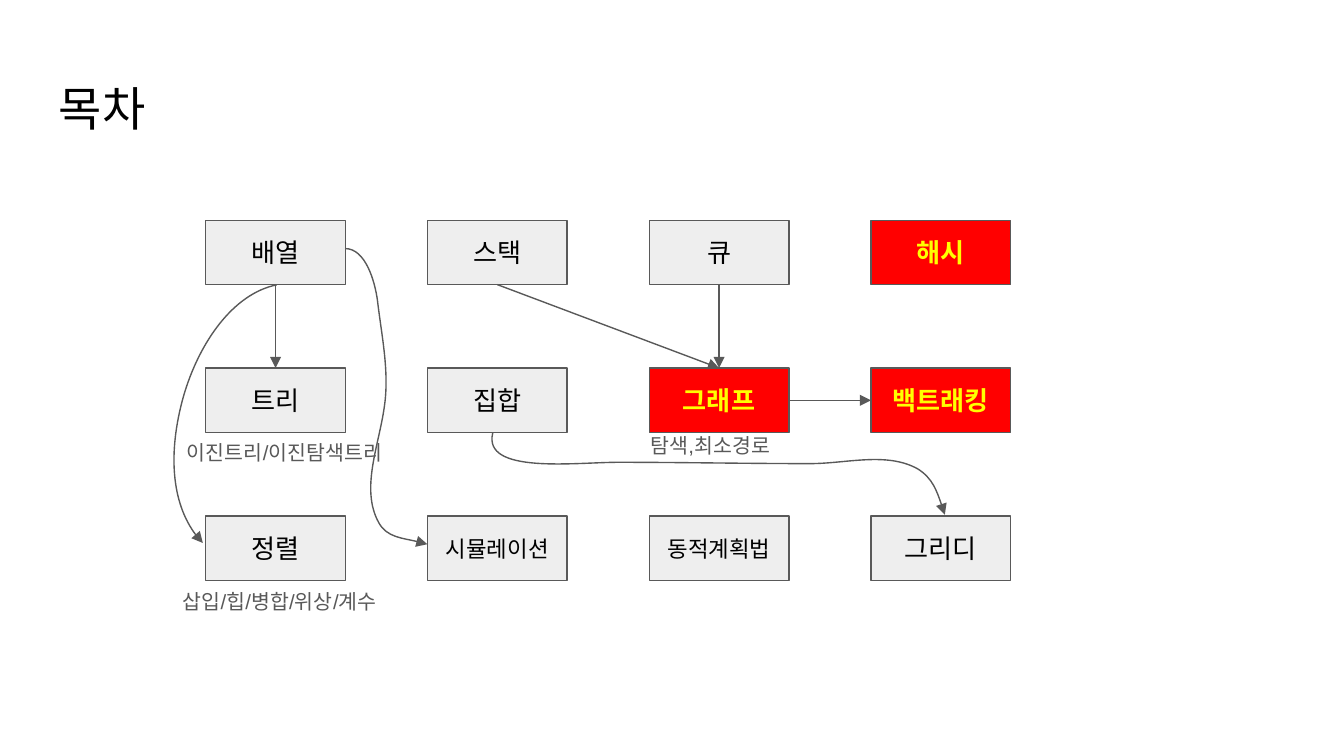
from lxml.etree import SubElement
from pptx import Presentation
from pptx.dml.color import RGBColor
from pptx.enum.shapes import MSO_CONNECTOR, MSO_SHAPE
from pptx.enum.text import MSO_ANCHOR, PP_ALIGN
from pptx.oxml.ns import qn
from pptx.util import Pt

BLACK = RGBColor(0x00, 0x00, 0x00)
GRAY = RGBColor(0x59, 0x59, 0x59)
LIGHT = RGBColor(0xEE, 0xEE, 0xEE)
RED = RGBColor(0xFF, 0x00, 0x00)
YELLOW = RGBColor(0xFF, 0xFF, 0x00)

TOPICS = [
    ["배열", "스택", "큐", "해시"],
    ["트리", "집합", "그래프", "백트래킹"],
    ["정렬", "시뮬레이션", "동적계획법", "그리디"],
]
HIGHLIGHTED = {"해시", "그래프", "백트래킹"}
LEFT, TOP = 110.2, 118
COLUMN_STEP, ROW_STEP = 118.8, 79.2
BOX_WIDTH, BOX_HEIGHT = 74.9, 34.5
TOP_SIDE, LEFT_SIDE, BOTTOM_SIDE, RIGHT_SIDE = range(4)

SET_TO_GREEDY = [
    (264, 232),
    (258.5, 254.2), (308.2, 247.7), (331.2, 247.7),
    (365.8, 247.7), (399.6, 248.4), (434.2, 248.4),
    (453.6, 248.4), (475.2, 241.9), (491.8, 251.3),
    (499.7, 256.3), (503.3, 266.4), (506.2, 275.8),
]
ARRAY_TO_SIMULATION = [
    (185, 133.2),
    (195.8, 133.2), (200.9, 150.5), (202.3, 161.3),
    (204.5, 180), (208.8, 199.4), (205.9, 218.2),
    (203, 239), (193, 262.1), (203, 280.1),
    (207.4, 288), (219.6, 288.7), (229, 291.6),
]
ARRAY_TO_SORT = [
    (148.3, 152.6),
    (124.9, 157.3), (106.6, 183.6), (98.3, 212.4),
    (90, 241.9), (91.8, 274), (108.7, 290.9),
]


class TopicMap:
    font_name = "Arial"
    line_width = Pt(0.75)
    inset = Pt(7.2)

    def __init__(self, slide):
        self.shapes = slide.shapes

    def label(self, frame, text, size, color, bold=False):
        frame.word_wrap = True
        frame.margin_left = frame.margin_right = self.inset
        frame.margin_top = frame.margin_bottom = self.inset
        run = frame.paragraphs[0].add_run()
        run.text = text
        run.font.name = self.font_name
        run.font.size = Pt(size)
        run.font.bold = bold
        run.font.color.rgb = color
        east_asian = SubElement(run.font._element, qn("a:ea"))
        east_asian.set("typeface", self.font_name)

    def text(self, left, top, width, height, text, size, color):
        box = self.shapes.add_textbox(Pt(left), Pt(top), Pt(width), Pt(height))
        self.label(box.text_frame, text, size, color)

    def outline(self, line):
        line.color.rgb = GRAY
        line.width = self.line_width

    def arrowhead(self, line):
        self.outline(line)
        SubElement(line._get_or_add_ln(), qn("a:tailEnd")).set("type", "triangle")

    def topic(self, column, row, name):
        box = self.shapes.add_shape(
            MSO_SHAPE.RECTANGLE,
            Pt(LEFT + column * COLUMN_STEP), Pt(TOP + row * ROW_STEP),
            Pt(BOX_WIDTH), Pt(BOX_HEIGHT))
        highlighted = name in HIGHLIGHTED
        box.shadow.inherit = False
        box.fill.solid()
        box.fill.fore_color.rgb = RED if highlighted else LIGHT
        self.outline(box.line)
        frame = box.text_frame
        frame.vertical_anchor = MSO_ANCHOR.MIDDLE
        frame.paragraphs[0].alignment = PP_ALIGN.CENTER
        self.label(frame, name, 12 if len(name) > 4 else 14,
                   YELLOW if highlighted else BLACK, highlighted)
        return box

    def arrow(self, source, source_side, target, target_side):
        arrow = self.shapes.add_connector(MSO_CONNECTOR.STRAIGHT, 0, 0, 0, 0)
        arrow.begin_connect(source, source_side)
        arrow.end_connect(target, target_side)
        self.arrowhead(arrow.line)
        SubElement(arrow._element.spPr, qn("a:effectLst"))

    def curve(self, points):
        start, *rest = [(Pt(x), Pt(y)) for x, y in points]
        builder = self.shapes.build_freeform(*start)
        builder.add_line_segments(rest, close=False)
        curve = builder.convert_to_shape()
        curve.shadow.inherit = False
        curve.fill.background()
        self.arrowhead(curve.line)
        outline = next(curve._element.iter(qn("a:path")))
        segments = outline.findall(qn("a:lnTo"))
        for first in range(0, len(segments), 3):
            bezier = SubElement(outline, qn("a:cubicBezTo"))
            for segment in segments[first:first + 3]:
                bezier.append(segment[0])
                outline.remove(segment)


def main():
    presentation = Presentation()
    presentation.slide_width = Pt(720)
    presentation.slide_height = Pt(405)
    topic_map = TopicMap(presentation.slides.add_slide(presentation.slide_layouts[6]))

    topic_map.text(24.5, 35.3, 671, 45.4, "목차", 25.2, BLACK)
    boxes = {
        name: topic_map.topic(column, row, name)
        for row, names in enumerate(TOPICS)
        for column, name in enumerate(names)
    }

    topic_map.arrow(boxes["스택"], BOTTOM_SIDE, boxes["그래프"], TOP_SIDE)
    topic_map.arrow(boxes["큐"], BOTTOM_SIDE, boxes["그래프"], TOP_SIDE)
    topic_map.arrow(boxes["그래프"], RIGHT_SIDE, boxes["백트래킹"], LEFT_SIDE)
    topic_map.curve(SET_TO_GREEDY)
    topic_map.arrow(boxes["배열"], BOTTOM_SIDE, boxes["트리"], TOP_SIDE)
    topic_map.curve(ARRAY_TO_SIMULATION)
    topic_map.curve(ARRAY_TO_SORT)

    topic_map.text(90.7, 308.2, 126, 15.8, "삽입/힙/병합/위상/계수", 11, GRAY)
    topic_map.text(341.3, 225.4, 87.8, 15.8, "탐색,최소경로", 11, GRAY)
    topic_map.text(92.9, 229, 130.3, 15.8, "이진트리/이진탐색트리", 11, GRAY)

    presentation.save("out.pptx")


if __name__ == "__main__":
    main()
